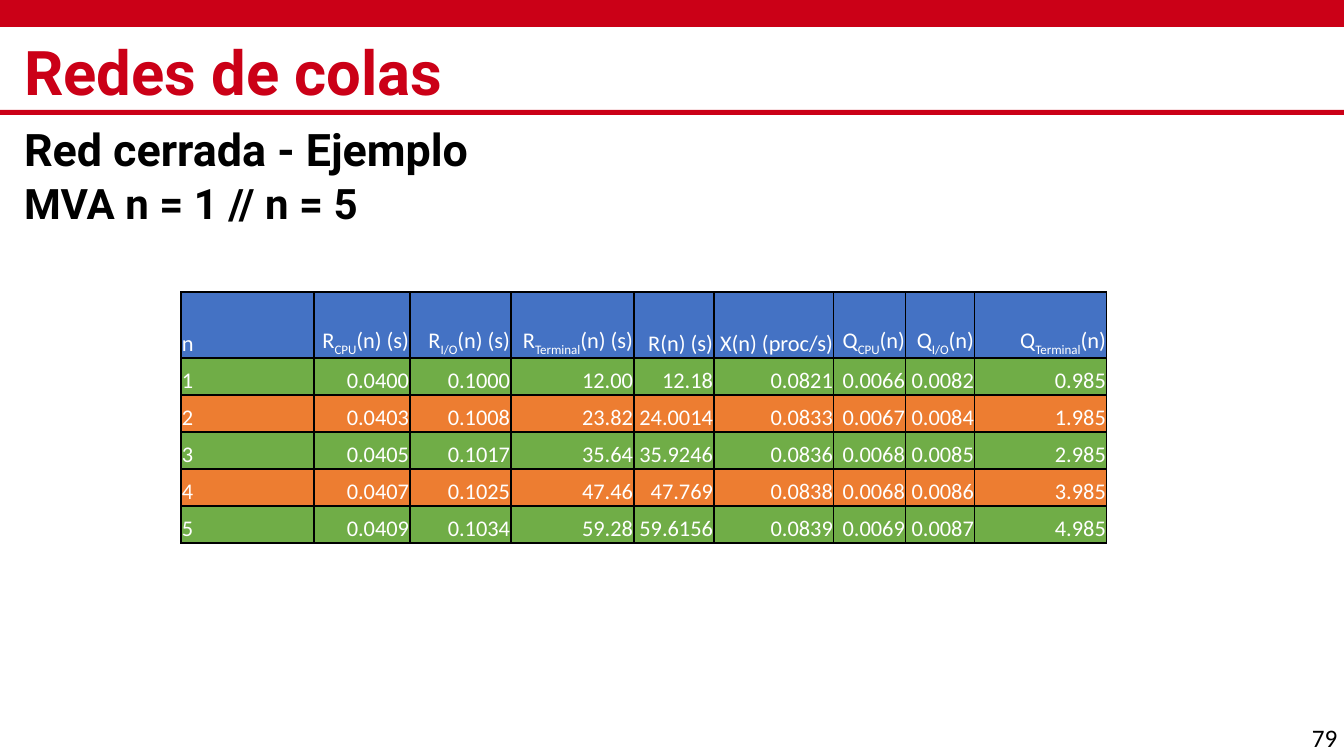
from dataclasses import dataclass

from lxml import etree
from pptx import Presentation
from pptx.dml.color import RGBColor
from pptx.enum.shapes import MSO_SHAPE
from pptx.enum.text import MSO_ANCHOR, MSO_AUTO_SIZE, PP_ALIGN
from pptx.oxml.ns import qn
from pptx.util import Emu, Pt

RECTANGLE = MSO_SHAPE.RECTANGLE
MIDDLE, BOTTOM = MSO_ANCHOR.MIDDLE, MSO_ANCHOR.BOTTOM
LEFT, RIGHT = PP_ALIGN.LEFT, PP_ALIGN.RIGHT
NO_AUTOFIT = MSO_AUTO_SIZE.NONE
EMU_PER_PX = 914400 / 100.8


@dataclass(frozen=True)
class Theme:
    heading_font: str = "Roboto"
    body_font: str = "Calibri"
    red: str = "CB0017"
    black: str = "000000"
    white: str = "FFFFFF"
    header_fill: str = "4472C4"
    odd_fill: str = "70AD47"
    even_fill: str = "ED7D31"
    title_size: int = 44
    subtitle_size: int = 32
    detail_size: int = 30
    number_size: int = 18
    table_size: int = 16


HEADERS = [
    ("n",),
    ("R", "CPU", "(n) (s)"),
    ("R", "I/O", "(n) (s)"),
    ("R", "Terminal", "(n) (s)"),
    ("R(n) (s)",),
    ("X(n) (proc/s)",),
    ("Q", "CPU", "(n)"),
    ("Q", "I/O", "(n)"),
    ("Q", "Terminal", "(n)"),
]
RESULTS = [
    ("1", "0.0400", "0.1000", "12.00", "12.18", "0.0821", "0.0066", "0.0082", "0.985"),
    ("2", "0.0403", "0.1008", "23.82", "24.0014", "0.0833", "0.0067", "0.0084", "1.985"),
    ("3", "0.0405", "0.1017", "35.64", "35.9246", "0.0836", "0.0068", "0.0085", "2.985"),
    ("4", "0.0407", "0.1025", "47.46", "47.769", "0.0838", "0.0068", "0.0086", "3.985"),
    ("5", "0.0409", "0.1034", "59.28", "59.6156", "0.0839", "0.0069", "0.0087", "4.985"),
]
COLUMN_WIDTHS = [133, 96, 101, 123, 80, 120, 72, 69, 132]
HEADER_HEIGHT, ROW_HEIGHT = 66, 37


def px(length):
    return Emu(round(length * EMU_PER_PX))


class SlideBuilder:
    def __init__(self, page, theme):
        self.page = page
        self.theme = theme

    def style(self, para, font, size, color, bold=False):
        para.font.name = font
        para.font.size = Pt(size)
        para.font.bold = bold
        para.font.color.rgb = RGBColor.from_string(color)

    def bar(self, top, height):
        box = self.page.shapes.add_shape(RECTANGLE, 0, px(top), px(1344), px(height))
        box.shadow.inherit = False
        box.fill.solid()
        box.fill.fore_color.rgb = RGBColor.from_string(self.theme.red)
        box.line.fill.background()

    def placeholder(self, box, place, lines, color, space=0):
        """Move a placeholder and fill it with (text, size) lines."""
        box.left, box.top, box.width, box.height = map(px, place)
        frame = box.text_frame
        frame.word_wrap = True
        frame.auto_size = NO_AUTOFIT
        frame.vertical_anchor = MIDDLE
        frame.margin_left = frame.margin_right = 0
        frame.margin_top = frame.margin_bottom = 0
        frame.text = "\n".join(text for text, _ in lines)
        for para, (_, size) in zip(frame.paragraphs, lines):
            para.alignment = LEFT
            para.line_spacing = 0.9
            para.space_before = Pt(space)
            self.style(para, self.theme.heading_font, size, color, bold=True)

    def page_number(self, number, place):
        box = self.page.shapes.add_textbox(*map(px, place))
        box.text_frame.word_wrap = True
        para = box.text_frame.paragraphs[0]
        para.text = number
        self.style(para, self.theme.body_font, self.theme.number_size, self.theme.black)

    def border(self, cell):
        properties = cell._tc.get_or_add_tcPr()
        for side in ("a:lnL", "a:lnR", "a:lnT", "a:lnB"):
            line = etree.SubElement(properties, qn(side), w=str(Pt(1)))
            fill = etree.SubElement(line, qn("a:solidFill"))
            etree.SubElement(fill, qn("a:srgbClr"), val=self.theme.black)

    def cell(self, cell, parts, fill, alignment):
        """Fill a cell; the second of its text parts is a subscript."""
        self.border(cell)
        cell.fill.solid()
        cell.fill.fore_color.rgb = RGBColor.from_string(fill)
        cell.vertical_anchor = BOTTOM
        cell.margin_left = cell.margin_right = cell.margin_top = px(1)
        cell.margin_bottom = 0
        para = cell.text_frame.paragraphs[0]
        para.alignment = alignment
        self.style(para, self.theme.body_font, self.theme.table_size, self.theme.white)
        for index, text in enumerate(parts):
            span = para.add_run()
            span.text = text
            if index == 1:
                span._r.get_or_add_rPr().set("baseline", "-25000")

    def table(self, left, top, headers, results):
        heights = [HEADER_HEIGHT] + [ROW_HEIGHT] * len(results)
        place = (left, top, sum(COLUMN_WIDTHS), sum(heights))
        table = self.page.shapes.add_table(
            len(heights), len(COLUMN_WIDTHS), *map(px, place)).table
        table.first_row = table.horz_banding = False
        for column, width in zip(table.columns, COLUMN_WIDTHS):
            column.width = px(width)
        rows = [headers] + [[(value,) for value in result] for result in results]
        for r, (row, height) in enumerate(zip(rows, heights)):
            table.rows[r].height = px(height)
            if r == 0:
                fill = self.theme.header_fill
            else:
                fill = self.theme.odd_fill if r % 2 else self.theme.even_fill
            for c, parts in enumerate(row):
                self.cell(table.cell(r, c), parts, fill, RIGHT if c else LEFT)


def main():
    deck = Presentation()
    deck.slide_width, deck.slide_height = px(1344), px(756)
    page = deck.slides.add_slide(deck.slide_layouts[0])
    theme = Theme()
    builder = SlideBuilder(page, theme)
    builder.bar(-1, 28)
    builder.bar(110, 5)
    builder.placeholder(page.shapes.title, (24, 39, 1295, 74),
                        [("Redes de colas", theme.title_size)], theme.red)
    builder.placeholder(page.placeholders[1], (24, 141, 1267, 74),
                        [("Red cerrada - Ejemplo", theme.subtitle_size),
                         ("MVA n = 1 // n = 5", theme.detail_size)],
                        theme.black, space=5)
    builder.table(181, 292, HEADERS, RESULTS)
    builder.page_number("79", (1302, 717, 57, 40))
    deck.save("out.pptx")


if __name__ == "__main__":
    main()
